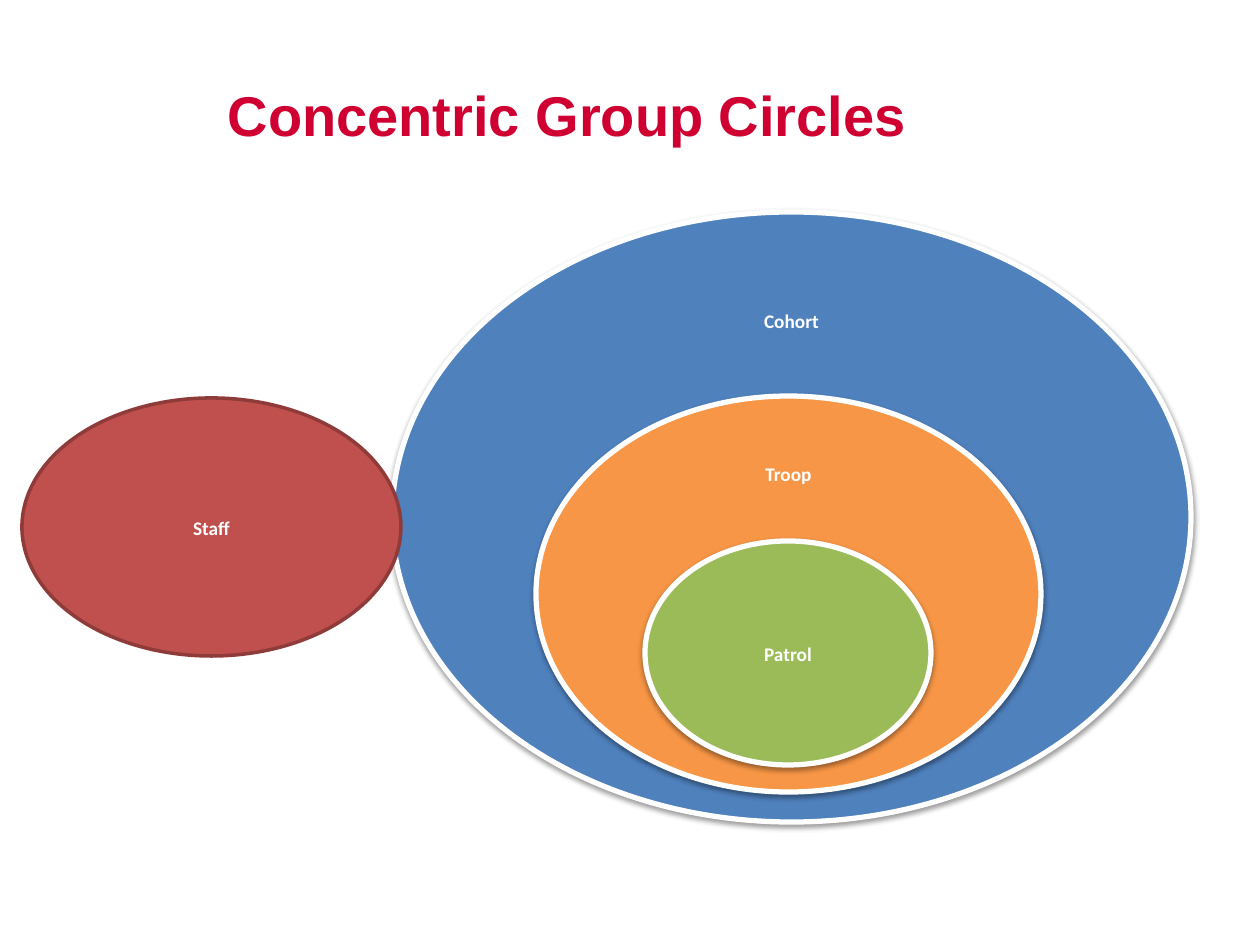
from lxml import etree
from pptx import Presentation
from pptx.dml.color import RGBColor
from pptx.enum.shapes import MSO_SHAPE
from pptx.enum.text import MSO_ANCHOR, PP_ALIGN
from pptx.oxml.ns import qn
from pptx.util import Inches, Pt

PX = Inches(1) / 126
ELLIPSE = MSO_SHAPE.OVAL
TOP, MIDDLE = MSO_ANCHOR.TOP, MSO_ANCHOR.MIDDLE
LEFT, CENTER = PP_ALIGN.LEFT, PP_ALIGN.CENTER

WHITE = RGBColor(0xFF, 0xFF, 0xFF)
BLACK = RGBColor(0, 0, 0)
CRIMSON = RGBColor(0xCF, 0x00, 0x31)
BLUE = RGBColor(0x4F, 0x81, 0xBD)
ORANGE = RGBColor(0xF7, 0x96, 0x46)
GREEN = RGBColor(0x9B, 0xBB, 0x59)
RED = RGBColor(0xC0, 0x50, 0x4D)
DARK_RED = RGBColor(0x8E, 0x3B, 0x39)

GROUP_CIRCLES = [
    ("Cohort", (0, 0, 799, 610), BLUE, TOP),
    ("Troop", (144, 184, 505, 396), ORANGE, TOP),
    ("Patrol", (253, 329, 286, 224), GREEN, MIDDLE),
]


def emu(box):
    return [round(length * PX) for length in box]


def set_font(paragraph, name, size, color):
    paragraph.font.name = name
    paragraph.font.size = Pt(size)
    paragraph.font.bold = True
    paragraph.font.color.rgb = color


def add_shadow(shape):
    effects = shape._element.spPr.find(qn("a:effectLst"))
    shadow = etree.SubElement(
        effects, qn("a:outerShdw"), blurRad=str(Pt(3.1)), dist=str(Pt(1.6)),
        dir="5400000", rotWithShape="0")
    color = etree.SubElement(shadow, qn("a:srgbClr"), val=str(BLACK))
    etree.SubElement(color, qn("a:alpha"), val="38000")


def add_circle(shapes, box, label, fill, line, line_width, anchor):
    shape = shapes.add_shape(ELLIPSE, *emu(box))
    shape.shadow.inherit = False
    shape.fill.solid()
    shape.fill.fore_color.rgb = fill
    shape.line.color.rgb = line
    shape.line.width = Pt(line_width)
    frame = shape.text_frame
    frame.word_wrap = True
    frame.vertical_anchor = anchor
    paragraph = frame.paragraphs[0]
    paragraph.text = label
    paragraph.alignment = CENTER
    paragraph.line_spacing = 1.07
    paragraph.space_after = Pt(8)
    set_font(paragraph, "Calibri", 11, WHITE)
    return shape


def place_title(slide, box):
    title = slide.shapes.title
    title.left, title.top, title.width, title.height = emu(box)
    title.text_frame.vertical_anchor = MIDDLE
    paragraph = title.text_frame.paragraphs[0]
    paragraph.text = "Concentric Group Circles"
    paragraph.alignment = LEFT
    set_font(paragraph, "Arial", 32, CRIMSON)


def add_group_circles(slide, left, top):
    group = slide.shapes.add_group_shape()
    for label, (x, y, width, height), fill, anchor in GROUP_CIRCLES:
        box = (left + x, top + y, width, height)
        add_shadow(add_circle(group.shapes, box, label, fill, WHITE, 3, anchor))


def main():
    presentation = Presentation()
    presentation.slide_width = Inches(10)
    presentation.slide_height = Inches(7.5)
    slide = presentation.slides.add_slide(presentation.slide_layouts[5])
    place_title(slide, (215, 35, 970, 158))
    add_group_circles(slide, 392, 212)
    add_circle(slide.shapes, (22, 398, 379, 258), "Staff", RED, DARK_RED, 2, MIDDLE)
    presentation.save("out.pptx")


if __name__ == "__main__":
    main()
